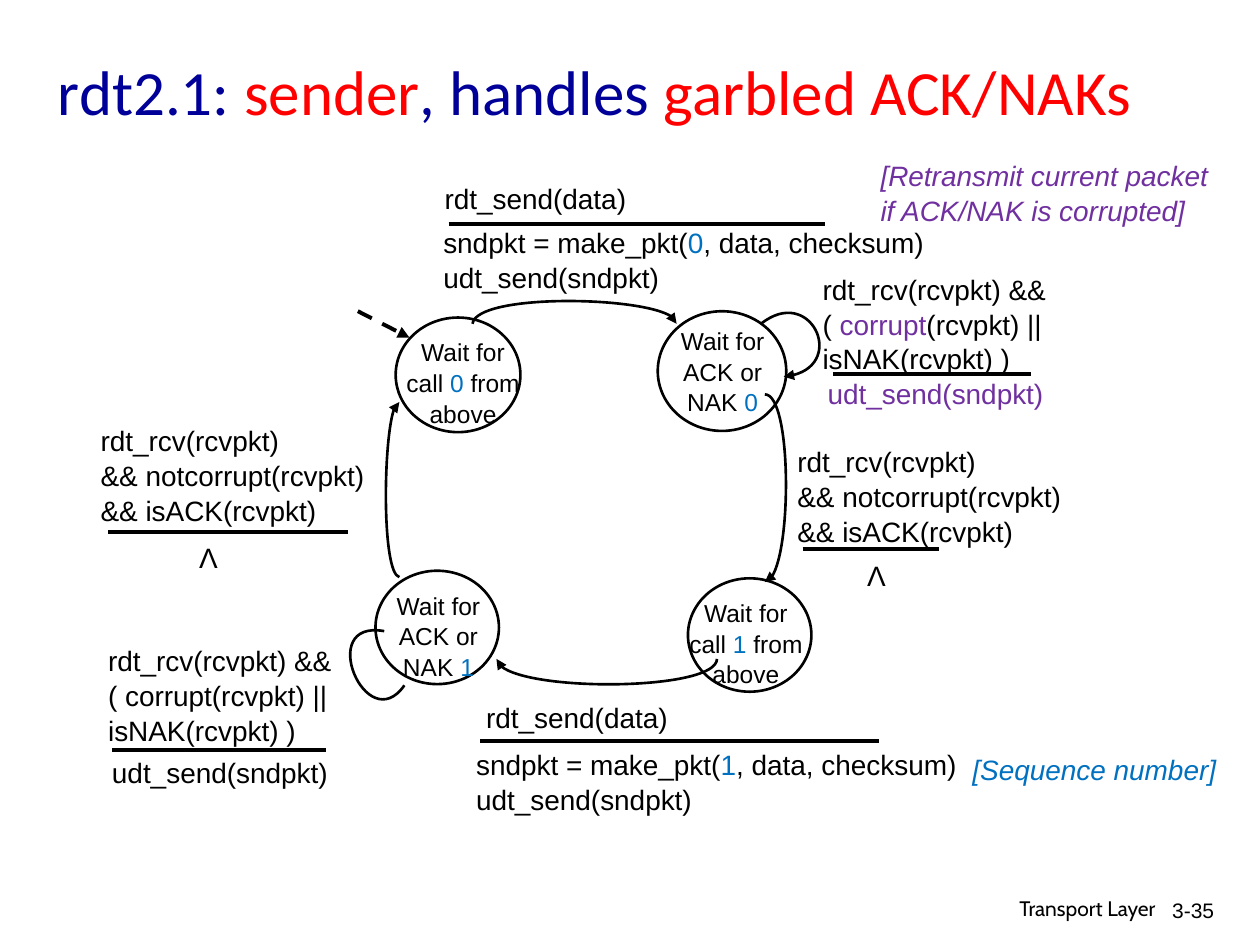
from pptx import Presentation
from pptx.dml.color import RGBColor
from pptx.enum import dml, shapes, text
from pptx.oxml import ns, xmlchemy
from pptx.util import Inches, Pt

BLACK = RGBColor(0x00, 0x00, 0x00)
WHITE = RGBColor(0xFF, 0xFF, 0xFF)
NAVY = RGBColor(0x00, 0x00, 0x99)
RED = RGBColor(0xFF, 0x00, 0x00)
BLUE = RGBColor(0x00, 0x70, 0xC0)
PURPLE = RGBColor(0x70, 0x30, 0xA0)

LEFT, CENTER, RIGHT = text.PP_ALIGN.LEFT, text.PP_ALIGN.CENTER, text.PP_ALIGN.RIGHT

RECEIVED_ACK = ["rdt_rcv(rcvpkt)", "&& notcorrupt(rcvpkt)", "&& isACK(rcvpkt)"]
RESEND = "udt_send(sndpkt)"
SEND = "rdt_send(data)"


def box_of(box):
    return [Inches(v) for v in box]


def format_values(target, values):
    for name, value in values.items():
        setattr(target, name, value)


def write(tf, lines, size, color=BLACK, align=LEFT, font="Arial", italic=None, spacing=1.04):
    for i, line in enumerate(lines):
        p = tf.paragraphs[0] if i == 0 else tf.add_paragraph()
        format_values(p, {"alignment": align, "line_spacing": spacing})
        for run in [line] if isinstance(line, str) else line:
            words, tint = (run, color) if isinstance(run, str) else run
            r = p.add_run()
            r.text = words
            format_values(r.font, {"name": font, "size": Pt(size), "italic": italic})
            r.font.color.rgb = tint


def label(parent, box, lines, size=16, wrap=True, **style):
    tf = parent.add_textbox(*box_of(box)).text_frame
    fit = text.MSO_AUTO_SIZE.NONE if wrap else text.MSO_AUTO_SIZE.SHAPE_TO_FIT_TEXT
    format_values(tf, {"word_wrap": wrap, "auto_size": fit})
    write(tf, lines, size, **style)


def stroke(sp, width, head=None):
    sp.line.color.rgb = BLACK
    sp.line.width = Pt(width)
    if head:
        ln = sp._element.spPr.find(ns.qn("a:ln"))
        ln.append(xmlchemy.OxmlElement(f"a:{head}"))
        ln[-1].set("type", "triangle")


def state(parent, circle, box, lines):
    group = parent.add_group_shape().shapes
    sp = group.add_shape(shapes.MSO_SHAPE.OVAL, *box_of(circle))
    sp.shadow.inherit = False
    sp.fill.solid()
    sp.fill.fore_color.rgb = WHITE
    stroke(sp, 1.5)
    label(group, box, lines, 14, align=CENTER)


def line(parent, ends, dash=None, head=None):
    sp = parent.add_connector(shapes.MSO_CONNECTOR.STRAIGHT, *box_of(ends))
    sp._element.spPr.append(xmlchemy.OxmlElement("a:effectLst"))
    sp.line.width = Pt(2.25)
    if dash:
        sp.line.dash_style = dash
    stroke(sp, 2.25, head)


def curve(parent, points, head="tailEnd"):
    start, *rest = [(Inches(x), Inches(y)) for x, y in points]
    builder = parent.build_freeform(*start)
    builder.add_line_segments(rest, close=False)
    sp = builder.convert_to_shape()
    segments = sp._element.xpath(".//a:lnTo")
    bezier = xmlchemy.OxmlElement("a:cubicBezTo")
    segments[0].addprevious(bezier)
    for segment in segments:
        bezier.append(segment[0])
        segment.getparent().remove(segment)
    sp.shadow.inherit = False
    sp.fill.background()
    stroke(sp, 1.5, head)


def title(s):
    sp = s.shapes.title
    format_values(sp, dict(zip(("left", "top", "width", "height"), box_of((0.36, 0.18, 9.05, 1.07)))))
    tf = sp.text_frame
    format_values(tf, {"vertical_anchor": text.MSO_ANCHOR.MIDDLE, "auto_size": text.MSO_AUTO_SIZE.NONE})
    runs = ["rdt2.1: ", ("sender", RED), ", handles ", ("garbled ACK/NAKs", RED)]
    write(tf, [runs], 36, color=NAVY, font="Calibri", spacing=1.0)


def make_packet(number):
    return [["sndpkt = make_pkt(", (number, BLUE), ", data, checksum)"], RESEND]


def received_bad(tint):
    return ["rdt_rcv(rcvpkt) &&", ["( ", ("corrupt", tint), "(rcvpkt) ||"], "isNAK(rcvpkt) )"]


def main():
    prs = Presentation()
    format_values(prs, {"slide_width": Inches(10), "slide_height": Inches(7.5)})
    s = prs.slides.add_slide(prs.slide_layouts[5])
    title(s)
    parent = s.shapes

    wait_ack = "Wait for ACK or NAK "
    state(parent, (3.14, 2.52, 0.99, 0.91), (3.08, 2.62, 1.19, 0.67),
          [["Wait for call ", ("0", BLUE), " from above"]])
    state(parent, (5.22, 2.47, 1.02, 0.95), (5.14, 2.53, 1.19, 0.71), [[wait_ack, ("0", BLUE)]])
    state(parent, (5.46, 4.59, 0.98, 0.9), (5.31, 4.69, 1.22, 0.67),
          ["Wait for", ["call ", ("1", BLUE), " from above"]])
    state(parent, (2.98, 4.53, 0.98, 0.9), (2.91, 4.63, 1.14, 0.67), [[wait_ack, ("1", BLUE)]])

    for points in [
        [(3.75, 2.57), (3.78, 2.33), (5.37, 2.35), (5.37, 2.57)],
        [(6.04, 2.57), (6.43, 2.26), (6.75, 2.94), (6.22, 2.99)],
        [(6.07, 3.13), (6.28, 3.13), (6.29, 4.59), (6.07, 4.62)],
        [(5.69, 5.23), (5.69, 5.48), (3.97, 5.5), (3.94, 5.23)],
        [(3.17, 4.58), (3.03, 4.55), (3.04, 3.19), (3.17, 3.19)],
    ]:
        curve(parent, points)
    curve(parent, [(3.21, 5.44), (2.91, 5.87), (2.5, 4.91), (3.05, 5.01)], head=None)

    line(parent, (2.84, 2.47, 3.25, 2.68), dml.MSO_LINE.DASH, "tailEnd")
    for x1, x2, y in [(3.56, 6.55, 1.78), (6.61, 8.18, 2.97), (6.37, 7.45, 4.36),
                      (3.81, 6.98, 5.88), (0.89, 2.59, 5.95), (0.86, 2.76, 4.22)]:
        line(parent, (x1, y, x2, y))

    for box, lines in [
        ((3.43, 1.38, 2.31, 0.33), [SEND]),
        ((3.42, 1.73, 4.04, 0.44), make_packet("0")),
        ((6.43, 2.1, 2.8, 0.62), received_bad(PURPLE)),
        ((6.23, 3.47, 3.28, 0.62), RECEIVED_ACK),
        ((3.76, 5.5, 2.61, 0.31), [SEND]),
        ((3.68, 5.87, 4.12, 0.44), make_packet("1")),
        ((0.76, 5.05, 2.2, 0.62), received_bad(BLACK)),
        ((0.79, 5.94, 1.99, 0.3), [RESEND]),
        ((0.7, 3.3, 2.31, 0.62), RECEIVED_ACK),
    ]:
        label(parent, box, lines)
    label(parent, (6.47, 2.93, 2.47, 0.44), [RESEND], color=PURPLE)
    for x, y in [(6.78, 4.37), (1.48, 4.23)]:
        label(parent, (x, y, 0.35, 0.37), ["Λ"], wrap=False, align=CENTER)

    label(parent, (6.89, 1.2, 2.95, 0.41), ["[Retransmit current packet if ACK/NAK is corrupted]"],
          color=PURPLE, italic=True)
    label(parent, (7.62, 5.91, 2.16, 0.37), ["[Sequence number]"], wrap=False, color=BLUE, italic=True)
    label(parent, (6.1, 7.05, 3.17, 0.31), ["Transport Layer"], 12, align=RIGHT, font="Cabin")
    label(parent, (9.1, 7.07, 0.74, 0.3), ["3-35"], 12, align=CENTER)
    prs.save("out.pptx")


if __name__ == "__main__":
    main()
